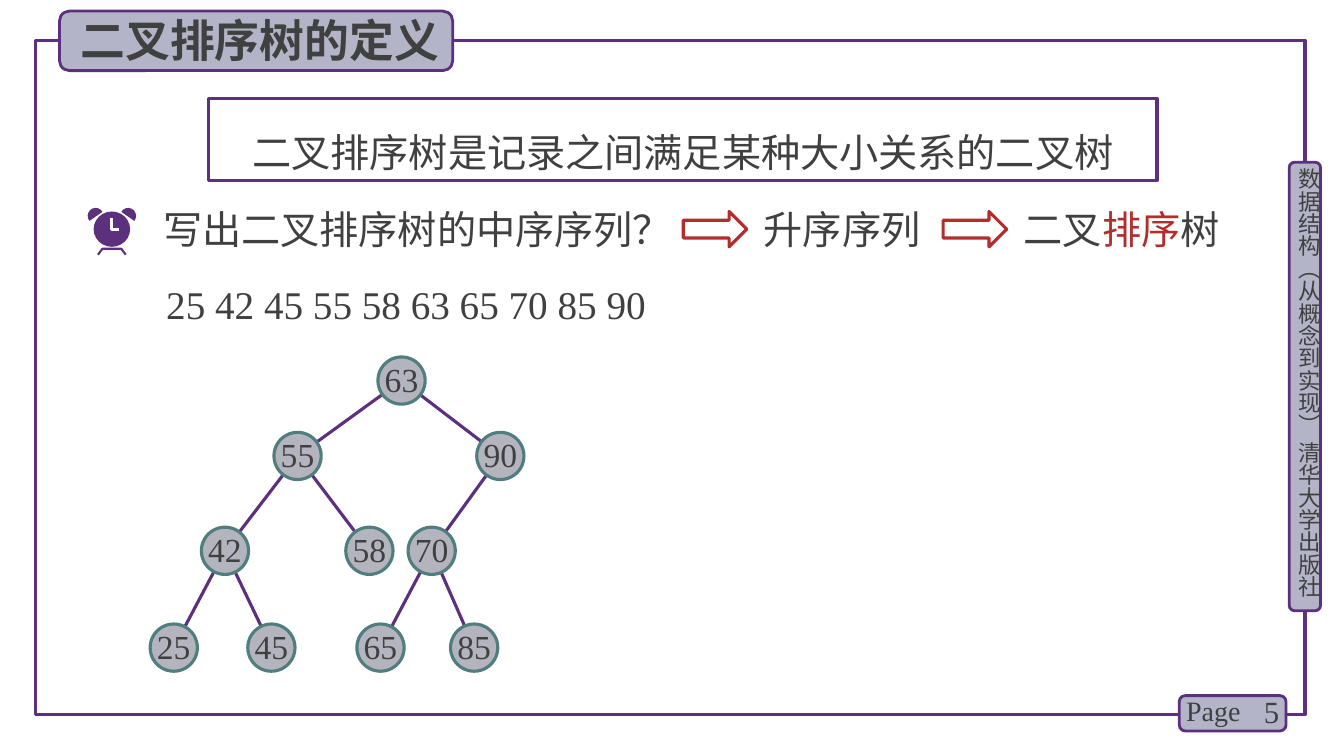
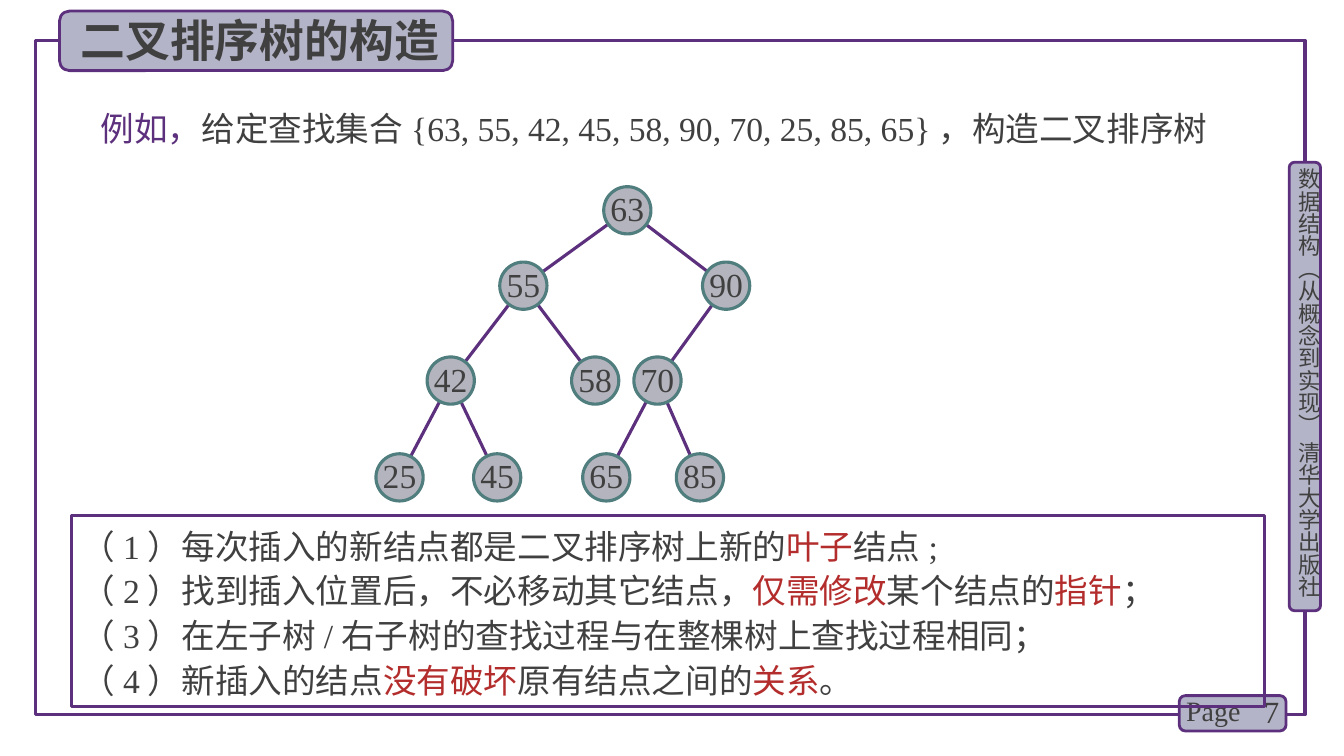
"""Build two slides about binary sort trees."""
from math import cos, hypot, radians, sin

from lxml import etree
from pptx import Presentation
from pptx.dml.color import RGBColor
from pptx.enum.shapes import MSO_CONNECTOR, MSO_SHAPE
from pptx.enum.text import MSO_ANCHOR, MSO_AUTO_SIZE, PP_ALIGN
from pptx.oxml.ns import qn
from pptx.util import Cm, Pt

RECT, ROUND = MSO_SHAPE.RECTANGLE, MSO_SHAPE.ROUNDED_RECTANGLE
OVAL, ARROW = MSO_SHAPE.OVAL, MSO_SHAPE.RIGHT_ARROW
STRAIGHT = MSO_CONNECTOR.STRAIGHT
TOP, MIDDLE = MSO_ANCHOR.TOP, MSO_ANCHOR.MIDDLE
LEFT, CENTER, RIGHT = PP_ALIGN.LEFT, PP_ALIGN.CENTER, PP_ALIGN.RIGHT
NO_FIT = MSO_AUTO_SIZE.NONE

INK, PURPLE, RED, WHITE = "404040", "5C307D", "B42D2D", "FFFFFF"
BAND, NODE, RIM = "B4B4C8", "B4B4BE", "507D7D"
SERIF, SANS = "Times New Roman", "Noto Sans CJK SC"
INSETS = (0.25, 0.13)
DIAM = 1.19
LEVELS = (0, 1.9, 4.29, 6.73)
TREE = {
    63: (None, 0, 0),
    55: (63, -2.62, 1), 90: (63, 2.49, 1),
    42: (55, -4.45, 2), 58: (55, -0.81, 2), 70: (90, 0.76, 2),
    25: (42, -5.74, 3), 45: (42, -3.28, 3),
    65: (70, -0.53, 3), 85: (70, 1.83, 3),
}
NOTES = [
    "（1）每次插入的新结点都是二叉排序树上新的|叶子|结点;",
    "（2）找到插入位置后，不必移动其它结点，|仅需修改|某个结点的|指针|；",
    "（3）在左子树/右子树的查找过程与在整棵树上查找过程相同；",
    "（4）新插入的结点|没有破坏|原有结点之间的|关系|。",
]


def tint(color):
    """Turn a hex string into a colour."""
    return RGBColor.from_string(color)


def write(frame, lines, size=28, font=SERIF, color=INK, accent=RED, bold=False,
          align=LEFT, anchor=TOP, space=1.0, insets=INSETS, wrap=True):
    """Fill a text frame; parts between bars take the accent colour."""
    frame.word_wrap, frame.auto_size = wrap, NO_FIT
    frame.vertical_anchor = anchor
    frame.margin_left = frame.margin_right = Cm(insets[0])
    frame.margin_top = frame.margin_bottom = Cm(insets[1])
    for i, line in enumerate(lines):
        para = frame.add_paragraph() if i else frame.paragraphs[0]
        para.alignment, para.line_spacing = align, space
        para.space_before = Pt(0)
        for j, part in enumerate(line.split("|")):
            if not part:
                continue
            run = para.add_run()
            run.text = part
            run.font.name, run.font.size, run.font.bold = font, Pt(size), bold
            run.font.color.rgb = tint(accent if j % 2 else color)
            east = etree.SubElement(run._r.get_or_add_rPr(), qn("a:ea"))
            east.set("typeface", SANS)


def paint(shape, fill=None, line=None, width=2.25):
    """Set fill and outline and drop the shadow."""
    shape.shadow.inherit = False
    if fill:
        shape.fill.solid()
        shape.fill.fore_color.rgb = tint(fill)
    else:
        shape.fill.background()
    if line:
        shape.line.color.rgb = tint(line)
        shape.line.width = Pt(width)
    else:
        shape.line.fill.background()


def place(shape, box):
    """Move a placeholder to a box and bring it to the front."""
    shape.left, shape.top, shape.width, shape.height = map(Cm, box)
    shape.element.getparent().append(shape.element)


def block(slide, kind, box, **look):
    """Add a preset shape."""
    shape = slide.shapes.add_shape(kind, *map(Cm, box))
    paint(shape, **look)
    return shape


def label(slide, box, text, **form):
    """Add a text box and return its frame."""
    frame = slide.shapes.add_textbox(*map(Cm, box)).text_frame
    write(frame, [text], **form)
    return frame


def trace(slide, points, close=False, **look):
    """Draw an outline through points."""
    spots = [(Cm(x), Cm(y)) for x, y in points]
    pen = slide.shapes.build_freeform(*spots[0])
    pen.add_line_segments(spots[1:], close=close)
    paint(pen.convert_to_shape(), **look)


def edge(slide, start, end):
    """Join the rims of two nodes."""
    (ax, ay), (bx, by) = start, end
    part = DIAM / 2 / hypot(bx - ax, by - ay)
    dx, dy = (bx - ax) * part, (by - ay) * part
    ends = (ax + dx, ay + dy, bx - dx, by - dy)
    line = slide.shapes.add_connector(STRAIGHT, *map(Cm, ends))
    line.line.color.rgb, line.line.width = tint(PURPLE), Pt(2.25)
    etree.SubElement(line.element.spPr, qn("a:effectLst"))


def tree(slide, left, top):
    """Draw the sort tree with its root centred at a point."""
    spots = {key: (left + x, top + LEVELS[row]) for key, (_, x, row) in TREE.items()}
    for key, (up, _, _) in TREE.items():
        if up:
            edge(slide, spots[up], spots[key])
    for key, (x, y) in spots.items():
        box = (x - DIAM / 2, y - DIAM / 2, DIAM, DIAM)
        ball = block(slide, OVAL, box, fill=NODE, line=RIM)
        write(ball.text_frame, [str(key)], size=24, align=CENTER,
              anchor=MIDDLE, space=Pt(26), insets=(0, 0), wrap=False)


def clock(slide, mid):
    """Draw an alarm clock around a vertical axis."""
    for side in (-1, 1):
        ear = [(mid + side * (0.41 - 0.2 * cos(radians(a))), 5.44 - 0.2 * sin(radians(a)))
               for a in range(30, 220, 21)]
        trace(slide, ear, close=True, fill=PURPLE)
    legs = [(mid - 0.35, 6.42), (mid - 0.24, 6.27), (mid + 0.24, 6.27), (mid + 0.35, 6.42)]
    trace(slide, legs, line=PURPLE, width=1.5)
    block(slide, OVAL, (mid - 0.46, 5.33, 0.92, 0.89), fill=PURPLE)
    hands = [(mid, 5.5), (mid, 5.78), (mid + 0.18, 5.78)]
    trace(slide, hands, line=WHITE, width=2)


def base(deck, layout, title, page):
    """Add a slide with the shared frame, bands, title and page number."""
    slide = deck.slides.add_slide(deck.slide_layouts[layout])
    block(slide, RECT, (0.89, 1.02, 32, 16.99), line=PURPLE)
    for box in ((32.49, 4.09, 0.79, 11.3), (29.72, 17.53, 2.69, 0.89),
                (1.5, 0.28, 9.91, 1.5)):
        block(slide, ROUND, box, fill=BAND, line=PURPLE, width=2)
    side = label(slide, (32.64, 4.24, 0.69, 11.4),
                 "数据结构（从概念到实现） 清华大学出版社",
                 size=16, font=SANS, insets=(0, 0))
    side._txBody.bodyPr.set("vert", "eaVert")
    label(slide, (30.99, 17.42, 1.5, 1.02), str(page), size=22, align=RIGHT, anchor=MIDDLE)
    label(slide, (29.64, 17.35, 1.98, 1.12), "Page", size=20)
    head = slide.shapes.title
    place(head, (1.78, 0.18, 10.39, 1.63))
    write(head.text_frame, [title], size=32, font=SANS, bold=True)
    return slide


def define(deck):
    """Build the slide with the definition."""
    slide = base(deck, 5, "二叉排序树的定义", 5)
    box = block(slide, RECT, (5.26, 2.49, 23.9, 2.06), line=PURPLE)
    write(box.text_frame, ["二叉排序树是记录之间满足某种大小关系的二叉树"],
          align=CENTER, anchor=MIDDLE, space=1.5, insets=(0, 0.13))
    clock(slide, 2.82)
    for left, top, width, text in (
            (3.86, 5.05, 13.79, "写出二叉排序树的中序序列？"),
            (3.94, 6.93, 13.79, "25 42 45 55 58 63 65 70 85 90"),
            (19, 5.05, 4.72, "升序序列"),
            (25.55, 5.05, 6.25, "二叉|排序|树")):
        label(slide, (left, top, width, 1.45), text)
    for left in (17.22, 23.77):
        block(slide, ARROW, (left, 5.33, 1.6, 0.89), line=RED)
    tree(slide, 10.12, 9.59)


def build(deck):
    """Build the slide with the construction."""
    slide = base(deck, 1, "二叉排序树的构造", 7)
    label(slide, (2.29, 2.59, 29.11, 1.27),
          "|例如，|给定查找集合{63, 55, 42, 45, 58, 90, 70, 25, 85, 65}，构造二叉排序树",
          size=24, accent=PURPLE)
    tree(slide, 15.81, 5.3)
    body = slide.placeholders[1]
    place(body, (1.8, 13, 30.07, 4.8))
    body.line.color.rgb, body.line.width = tint(PURPLE), Pt(2.25)
    write(body.text_frame, NOTES, size=24, space=Pt(32))
    for para in body.text_frame.paragraphs:
        props = para._p.get_or_add_pPr()
        props.set("marL", "0")
        props.set("indent", "0")
        etree.SubElement(props, qn("a:buNone"))


def main():
    """Make the deck and save it."""
    deck = Presentation()
    deck.slide_width, deck.slide_height = Cm(33.87), Cm(19.05)
    define(deck)
    build(deck)
    deck.save("out.pptx")


if __name__ == "__main__":
    main()
